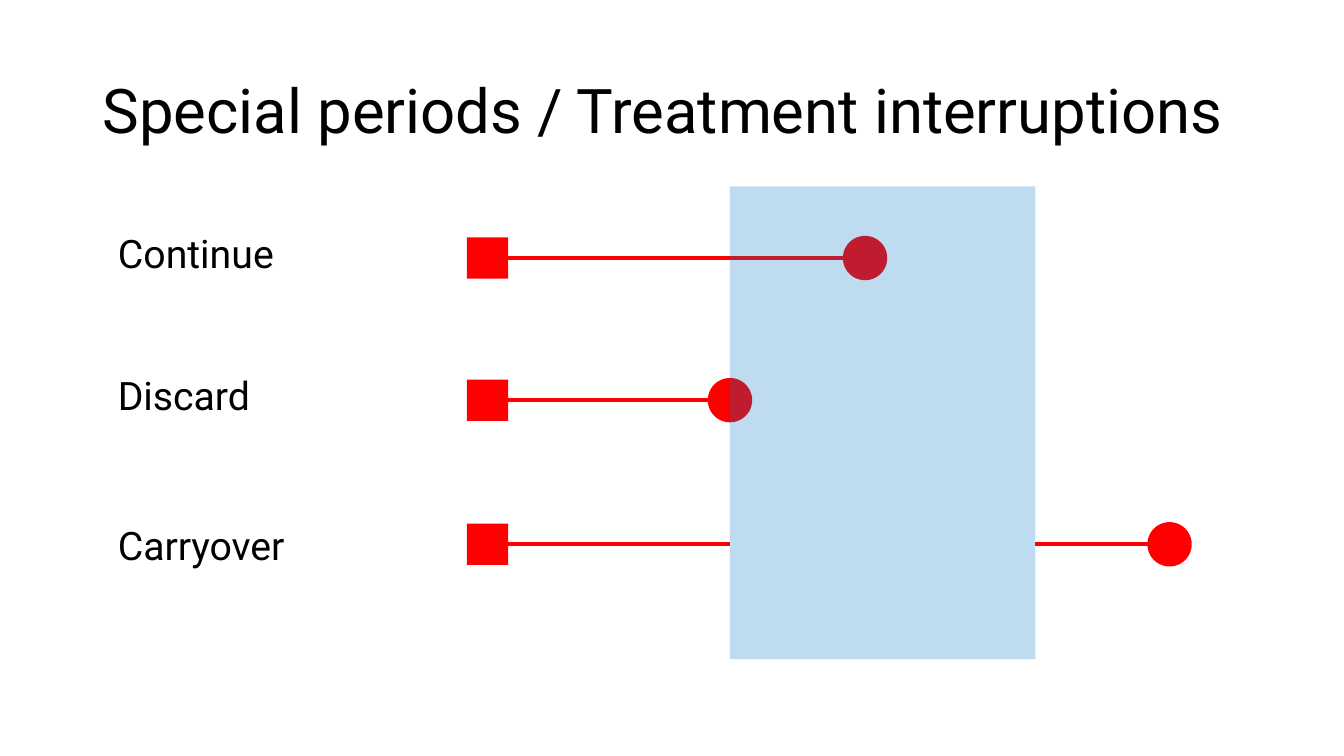
import dataclasses
import typing

import lxml.etree
import pptx
import pptx.dml.color
import pptx.enum.shapes
import pptx.enum.text
import pptx.oxml.ns
import pptx.util

Inches = pptx.util.Inches
Pt = pptx.util.Pt
RGBColor = pptx.dml.color.RGBColor
Kind = pptx.enum.shapes.MSO_SHAPE
Anchor = pptx.enum.text.MSO_ANCHOR
qn = pptx.oxml.ns.qn

RED = RGBColor(0xFF, 0x00, 0x00)
BLUE = RGBColor(0x00, 0x70, 0xC0)
BLACK = RGBColor(0x00, 0x00, 0x00)

START = 4.63
SQUARE = 0.41
DOT = 0.44
BAND = (7.24, 1.85, 3.03, 4.69)


@dataclasses.dataclass
class Case:
    name: str
    box: tuple[float, float, float, float]
    mid: float
    dot: float
    split: bool = False


CASES = [
    Case("Continue", (1.07, 2.28, 1.83, 0.57), 2.56, 8.36),
    Case("Discard", (1.07, 3.69, 1.83, 0.57), 3.97, 7.02),
    Case("Carryover", (1.07, 5.18, 2.16, 0.67), 5.4, 11.38, split=True),
]


def place(shape: typing.Any, box: tuple[float, float, float, float]) -> None:
    shape.left, shape.top, shape.width, shape.height = map(Inches, box)


def write(shape: typing.Any, text: str, *, size: float, anchor: Anchor = Anchor.TOP,
          before: float = 0) -> None:
    frame = shape.text_frame
    frame.word_wrap = True
    frame.auto_size = pptx.enum.text.MSO_AUTO_SIZE.NONE
    frame.vertical_anchor = anchor
    para = frame.paragraphs[0]
    para.alignment = pptx.enum.text.PP_ALIGN.LEFT
    para.line_spacing = 0.9
    para.space_before = Pt(before)
    props = para._p.get_or_add_pPr()
    props.set("marL", "0")
    props.set("indent", "0")
    lxml.etree.SubElement(props, qn("a:buNone"))
    run = para.add_run()
    run.text = text
    run.font.name = "Roboto"
    run.font.size = Pt(size)
    run.font.color.rgb = BLACK


def solid(shapes: typing.Any, kind: Kind, box: tuple[float, float, float, float],
          color: RGBColor) -> typing.Any:
    shape = shapes.add_shape(kind, *map(Inches, box))
    shape.shadow.inherit = False
    shape.fill.solid()
    shape.fill.fore_color.rgb = color
    shape.line.fill.background()
    return shape


def link(shapes: typing.Any, left: float, right: float, mid: float) -> typing.Any:
    line = shapes.add_connector(pptx.enum.shapes.MSO_CONNECTOR.STRAIGHT,
                                Inches(left), Inches(mid), Inches(right), Inches(mid))
    line.line.color.rgb = RED
    line.line.width = Pt(3)
    lxml.etree.SubElement(line._element.spPr, qn("a:effectLst"))
    return line


def track(slide: typing.Any, case: Case) -> None:
    shapes = slide.shapes.add_group_shape().shapes
    square = solid(shapes, Kind.RECTANGLE,
                   (START, case.mid - SQUARE / 2, SQUARE, SQUARE), RED)
    stop = BAND[0] if case.split else case.dot
    link(shapes, START + SQUARE, stop, case.mid).begin_connect(square, 3)
    if case.split:
        link(shapes, BAND[0] + BAND[2], case.dot + DOT / 2, case.mid)
    solid(shapes, Kind.OVAL, (case.dot, case.mid - DOT / 2, DOT, DOT), RED)


def main() -> None:
    deck = pptx.Presentation()
    deck.slide_width = Inches(13.33)
    deck.slide_height = Inches(7.5)
    slide = deck.slides.add_slide(deck.slide_layouts[1])

    title = slide.shapes.title
    place(title, (0.92, 0.4, 11.5, 1.45))
    write(title, "Special periods / Treatment interruptions", size=44,
          anchor=Anchor.MIDDLE)

    for i, case in enumerate(CASES):
        if i == 0:
            label = slide.placeholders[1]
            place(label, case.box)
        else:
            label = slide.shapes.add_textbox(*map(Inches, case.box))
        write(label, case.name, size=28, before=10)
        track(slide, case)

    band = solid(slide.shapes, Kind.RECTANGLE, BAND, BLUE)
    color = band.fill._xPr.find(qn("a:solidFill"))[0]
    lxml.etree.SubElement(color, qn("a:alpha")).set("val", "25000")

    deck.save("out.pptx")


if __name__ == "__main__":
    main()
